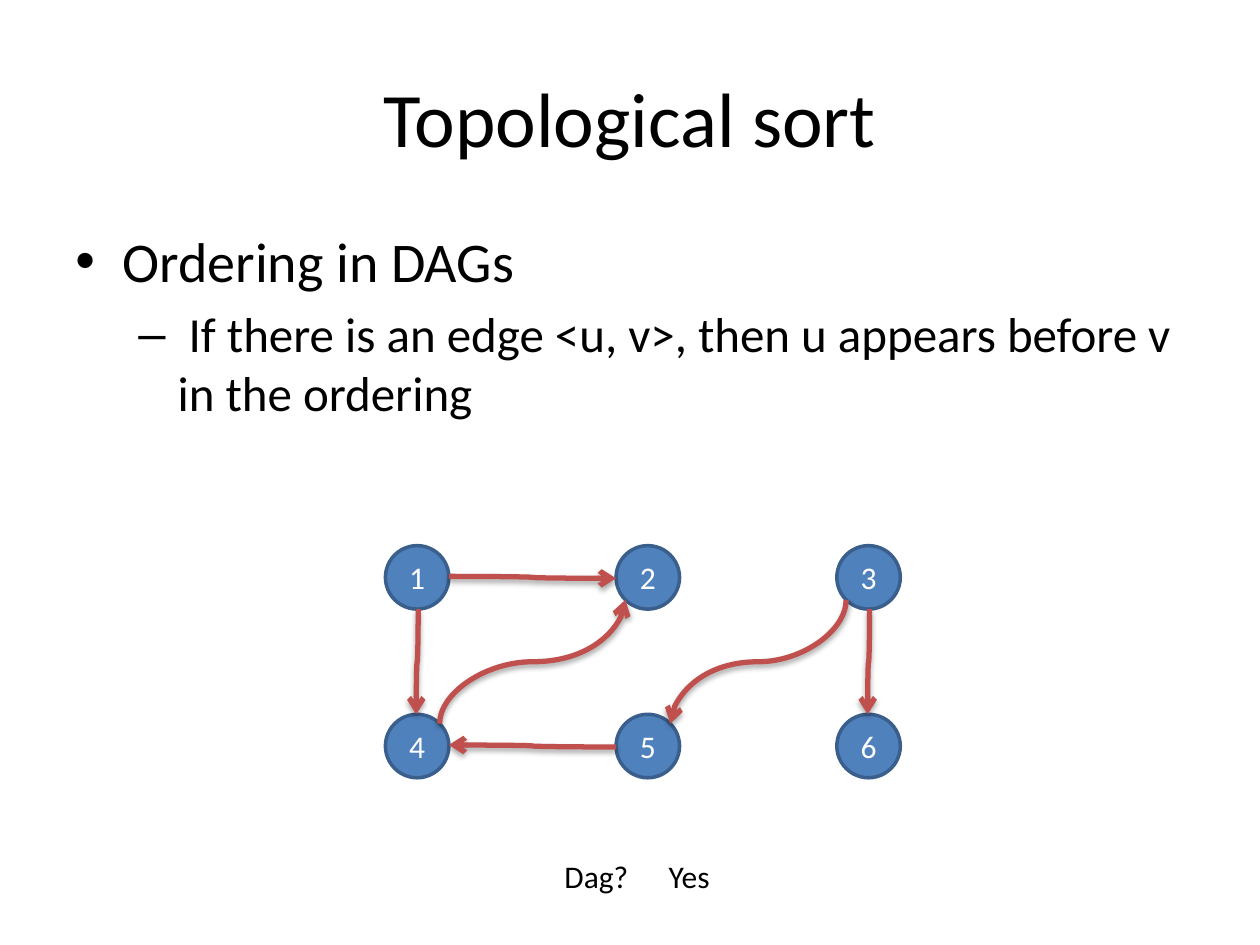
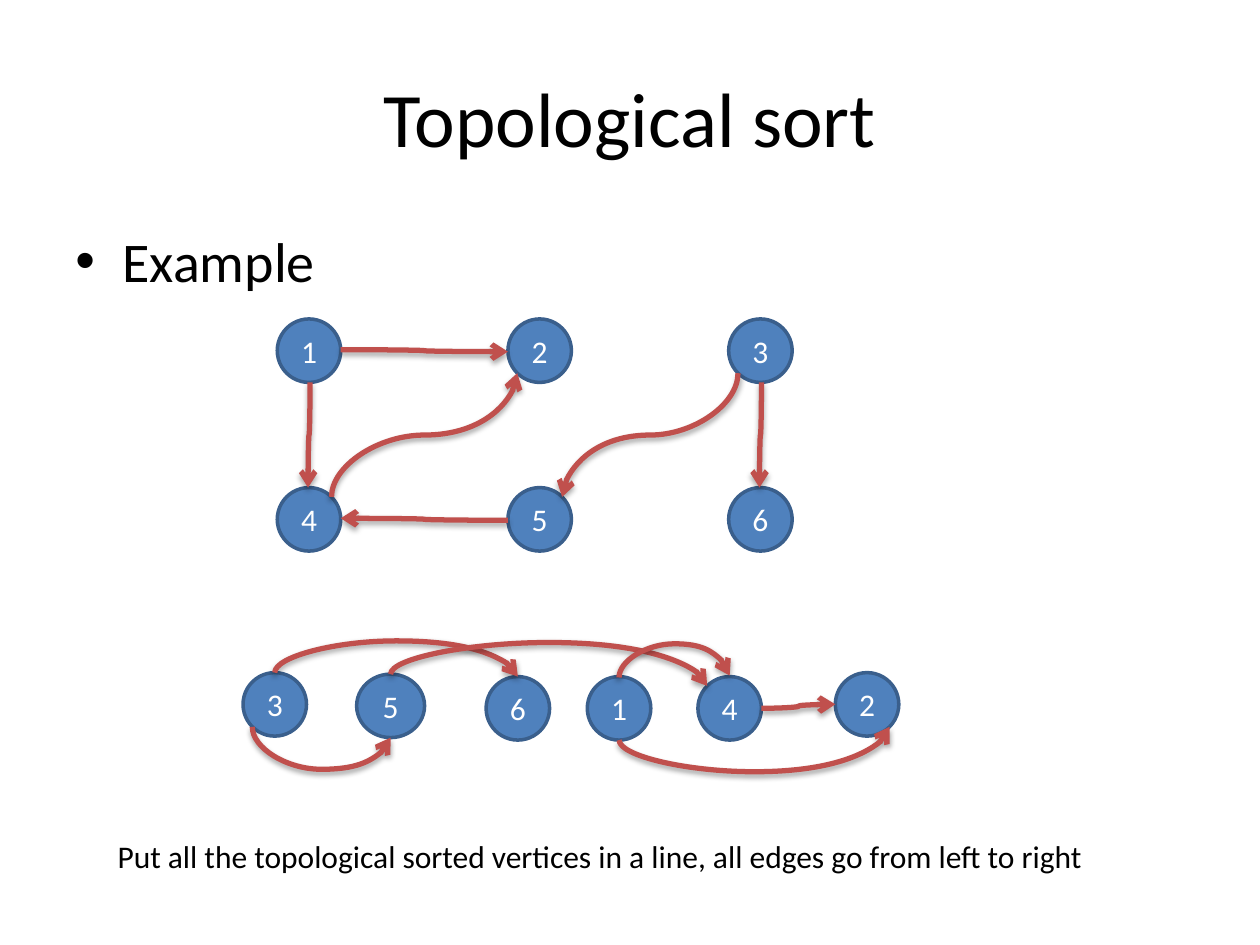
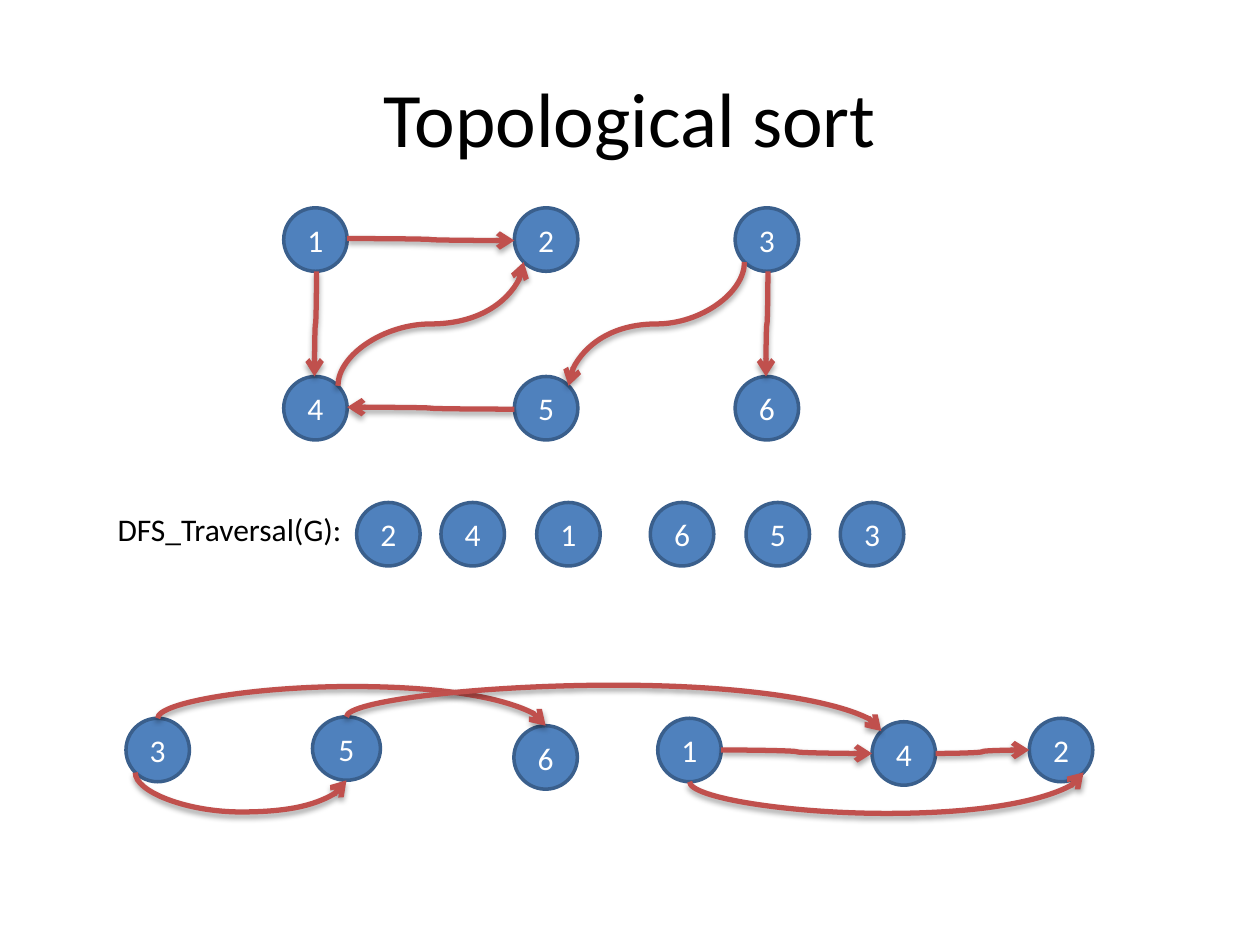
from math import cos, radians, sin

from lxml.etree import SubElement
from pptx import Presentation
from pptx.dml.color import RGBColor as Rgb
from pptx.enum.shapes import MSO_CONNECTOR as Link, MSO_SHAPE as Shape
from pptx.enum.text import MSO_ANCHOR as Anchor, MSO_AUTO_SIZE as Fit, PP_ALIGN as Align
from pptx.oxml.ns import qn
from pptx.util import Cm, Pt

COLORS = {"text": "000000", "label": "FFFFFF", "node": "4F81BD", "rim": "3A5F8C",
          "edge": "C0504D", "shadow": "000000"}
FONT = "Calibri"
NODE_SIZE = 1.28
WIDE_NODE = 1.37
BOW = 0.64
COMPASS = {"e": 0, "se": 45, "s": 90, "sw": 135, "w": 180, "nw": 225, "n": 270, "ne": 315}
BULLETS = [("•", 32, 0.95, -0.95), ("–", 28, 2.06, -0.79)]
GRAPH_COLUMNS = (0, 4.65, 9.1)
GRAPH_ROW_STEP = 3.4
GRAPH_EDGES = [("1", "e", "2", "w", (0, -0.04)), ("1", "s", "4", "n", (0.04, 0)),
               ("3", "s", "6", "n", (0.04, 0)), ("3", "sw", "5", "ne"),
               ("4", "ne", "2", "sw"), ("5", "w", "4", "e", (0, 0.04))]
ORDER_EDGES = [("1", "s", "2", "se"), ("3", "n", "6", "n"), ("3", "sw", "5", "s"),
               ("4", "e", "2", "w"), ("5", "n", "4", "nw")]


def add_xml(parent, tag, **attributes):
    """Append a child element with the given attributes."""
    return SubElement(parent, qn(tag), {key: str(value) for key, value in attributes.items()})


class Lecture:
    """Hold the shared style, the deck and the current page."""

    def __init__(self):
        """Start an empty 4:3 deck."""
        self.deck = Presentation()
        self.deck.slide_width, self.deck.slide_height = Cm(25.4), Cm(19.05)
        self.page = None

    def new_page(self, title):
        """Add a blank page with the centred title."""
        self.page = self.deck.slides.add_slide(self.deck.slide_layouts[6])
        frame = self.text_box(1.27, 0.76, 22.86, 3.18)
        frame.vertical_anchor = Anchor.MIDDLE
        self.fill_para(frame.paragraphs[0], title, 44, align=Align.CENTER)

    def text_box(self, left, top, width, height):
        """Add a wrapping text box and return its frame."""
        frame = self.page.shapes.add_textbox(Cm(left), Cm(top), Cm(width), Cm(height)).text_frame
        frame.word_wrap = True
        return frame

    def fill_para(self, para, text, size, color="text", align=Align.LEFT):
        """Put styled text into a paragraph."""
        para.text, para.alignment = text, align
        para.font.name, para.font.size = FONT, Pt(size)
        para.font.color.rgb = Rgb.from_string(COLORS[color])

    def bullets(self, *texts):
        """Add the body, each text one level deeper than the one before."""
        frame = self.text_box(1.27, 4.45, 22.86, 4.01)
        for level, (text, style) in enumerate(zip(texts, BULLETS)):
            mark, size, margin, indent = style
            para = frame.add_paragraph() if level else frame.paragraphs[0]
            self.fill_para(para, text, size)
            para.level, para.space_before = level, Pt(size * 0.2)
            props = para._p.get_or_add_pPr()
            props.set("marL", str(Cm(margin)))
            props.set("indent", str(Cm(indent)))
            add_xml(props, "a:buFont", typeface="Arial")
            add_xml(props, "a:buChar", char=mark)

    def note(self, text, left, top, width, wrap=True):
        """Add a line of plain text."""
        frame = self.text_box(left, top, width, 1.03)
        frame.word_wrap, frame.auto_size = wrap, Fit.SHAPE_TO_FIT_TEXT
        self.fill_para(frame.paragraphs[0], text, 18)

    def node(self, label, left, top, width=NODE_SIZE):
        """Add a numbered vertex and return its box."""
        circle = self.page.shapes.add_shape(Shape.OVAL, Cm(left), Cm(top), Cm(width), Cm(NODE_SIZE))
        circle.shadow.inherit = False
        circle.fill.solid()
        circle.fill.fore_color.rgb = Rgb.from_string(COLORS["node"])
        circle.line.color.rgb = Rgb.from_string(COLORS["rim"])
        circle.line.width = Pt(2)
        circle.text_frame.vertical_anchor = Anchor.MIDDLE
        self.fill_para(circle.text_frame.paragraphs[0], label, 18, "label", Align.CENTER)
        return left, top, width

    def site(self, box, side):
        """Return the point on a vertex that faces a compass side."""
        left, top, width = box
        angle = radians(COMPASS[side])
        return (left + width / 2 * (1 + cos(angle)), top + NODE_SIZE / 2 * (1 + sin(angle)))

    def edge(self, start_box, start_side, end_box, end_side, lean=(0, 0)):
        """Draw a curved arrow; equal sides bow outwards, others bend midway."""
        x1, y1 = (at + shift / 2 for at, shift in zip(self.site(start_box, start_side), lean))
        x2, y2 = (at - shift / 2 for at, shift in zip(self.site(end_box, end_side), lean))
        if start_side in ("e", "w"):
            arrow = self.page.shapes.add_connector(Link.CURVE, Cm(x1), Cm(y1), Cm(x2), Cm(y2))
        else:
            arrow = self.upright_curve(x1, y1, x2, y2, start_side[0], end_side[0])
        arrow.line.color.rgb = Rgb.from_string(COLORS["edge"])
        arrow.line.width = Pt(3)
        props = arrow._element.spPr
        add_xml(props.find(qn("a:ln")), "a:tailEnd", type="arrow")
        shadow = add_xml(add_xml(props, "a:effectLst"), "a:outerShdw", blurRad=40000,
                         dist=23000, dir=5400000, rotWithShape=0)
        add_xml(add_xml(shadow, "a:srgbClr", val=COLORS["shadow"]), "a:alpha", val=35000)

    def upright_curve(self, x1, y1, x2, y2, start_side, end_side):
        """Add a connector that leaves and arrives vertically."""
        bend = (y1 + y2) / 2
        if start_side == end_side:
            bend = min(y1, y2) - BOW if start_side == "n" else max(y1, y2) + BOW
        middle_x, middle_y = (x1 + x2) / 2, (y1 + y2) / 2
        half_run, half_rise = abs(y2 - y1) / 2, abs(x2 - x1) / 2
        arrow = self.page.shapes.add_connector(
            Link.CURVE, Cm(middle_x - half_run), Cm(middle_y - half_rise),
            Cm(middle_x + half_run), Cm(middle_y + half_rise))
        rightward, downward = x2 > x1, y2 > y1
        frame = arrow._element.spPr.find(qn("a:xfrm"))
        frame.set("rot", "16200000" if rightward and downward else "5400000")
        if rightward:
            frame.set("flipH", "1")
        if rightward and not downward:
            frame.set("flipV", "1")
        guides = next(arrow._element.iter(qn("a:avLst")))
        share = round((bend - y1) / (y2 - y1) * 100000)
        add_xml(guides, "a:gd", name="adj1", fmla=f"val {share}")
        return arrow

    def edges(self, boxes, links):
        """Draw every listed edge between the named vertices."""
        for start, start_side, end, end_side, *lean in links:
            self.edge(boxes[start], start_side, boxes[end], end_side, *lean)

    def graph(self, left, top):
        """Draw the six-vertex example graph."""
        boxes = {}
        for index in range(6):
            row, column = divmod(index, 3)
            label = str(index + 1)
            boxes[label] = self.node(label, left + GRAPH_COLUMNS[column], top + row * GRAPH_ROW_STEP)
        self.edges(boxes, GRAPH_EDGES)

    def ordering(self, places, direct_edge):
        """Draw the vertices in sorted order with their edges."""
        boxes = {label: self.node(label, left, top, WIDE_NODE if label == "5" else NODE_SIZE)
                 for label, (left, top) in places.items()}
        self.edges(boxes, ORDER_EDGES + [direct_edge])


lecture = Lecture()

lecture.new_page("Topological sort")
lecture.bullets("Ordering in DAGs",
                " If there is an edge <u, v>, then u appears before v in the ordering")
lecture.graph(7.77, 11)
lecture.note("Dag? ", 11.13, 17.15, 1.96, wrap=False)
lecture.note("Yes", 13.23, 17.15, 1.35, wrap=False)

lecture.new_page("Topological sort")
lecture.bullets("Example")
lecture.graph(5.59, 6.43)
lecture.ordering({"3": (4.9, 13.56), "5": (7.19, 13.59), "6": (9.8, 13.64),
                  "1": (11.84, 13.64), "4": (14.07, 13.64), "2": (16.84, 13.56)},
                 ("1", "n", "4", "n", (0, 0.04)))
lecture.note("Put all the topological sorted vertices in a line, all edges go from left to right ",
             2.12, 16.74, 20.32)

lecture.new_page("Topological sort")
lecture.graph(5.72, 4.19)
lecture.note("DFS_Traversal(G):", 2.12, 10.16, 6.35)
for label, left in zip("241653", (7.19, 8.89, 10.82, 13.11, 15.04, 16.94)):
    lecture.node(label, left, 10.13)
lecture.ordering({"3": (2.54, 14.48), "5": (6.3, 14.45), "6": (10.36, 14.63),
                  "1": (13.26, 14.48), "4": (17.58, 14.55), "2": (20.75, 14.48)},
                 ("1", "e", "4", "w"))

lecture.deck.save("out.pptx")
